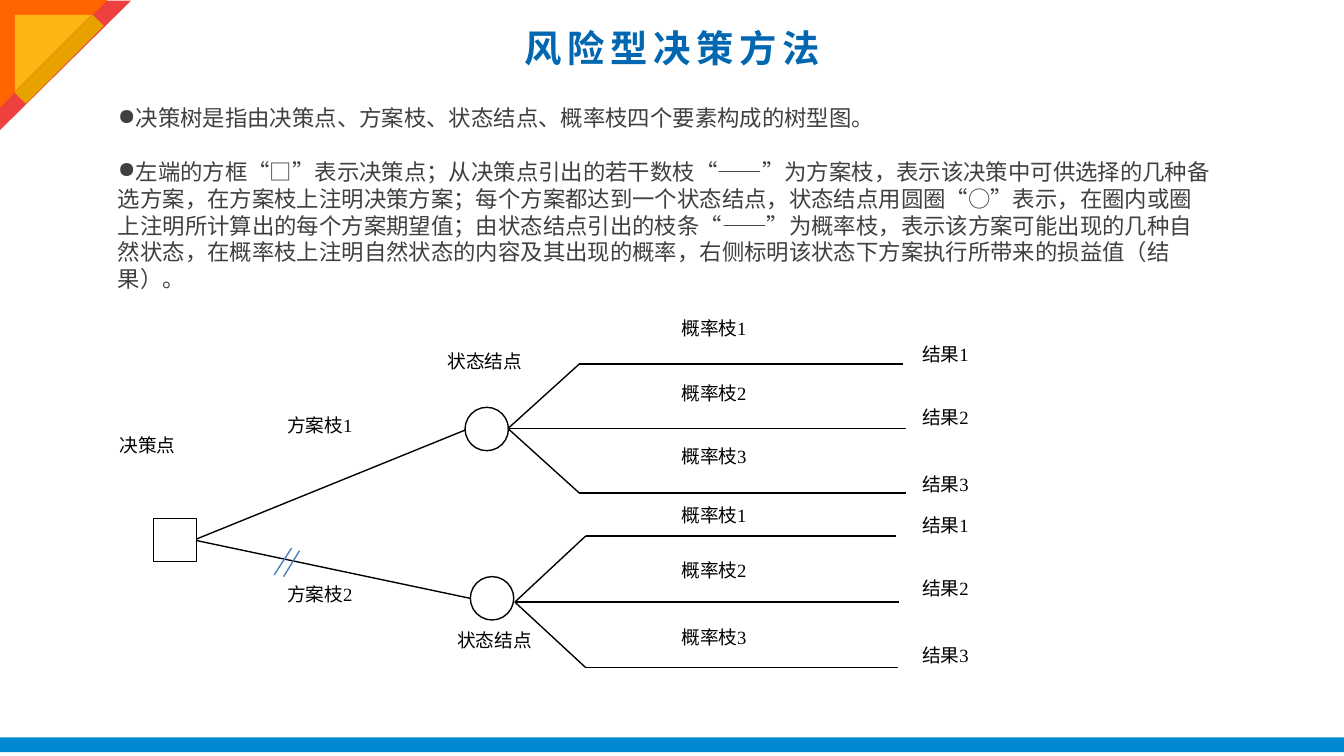
from lxml.etree import SubElement
from pptx import Presentation
from pptx.dml.color import RGBColor
from pptx.enum.shapes import MSO_CONNECTOR, MSO_SHAPE as Shape
from pptx.enum.text import MSO_ANCHOR, PP_ALIGN as Align
from pptx.oxml.ns import qn
from pptx.util import Cm, Pt

COLORS = {
    "title": "0067B0", "body": "404040", "ink": "000000", "paper": "FFFFFF",
    "bar": "0089D2", "red": "EE403F", "orange": "FF6600",
    "yellow": "FBB614", "gold": "E7A200", "cut": "4B7EBC",
}

deck = Presentation()
deck.slide_width, deck.slide_height = Cm(25.4), Cm(14.29)
slide = deck.slides.add_slide(deck.slide_layouts[6])


def add_text(box, paragraphs, size, font, color, align):
    frame = slide.shapes.add_textbox(*map(Cm, box)).text_frame
    frame.word_wrap = True
    for index, text in enumerate(paragraphs):
        paragraph = frame.paragraphs[0] if index == 0 else frame.add_paragraph()
        paragraph.alignment = align
        run = paragraph.add_run()
        run.text = text
        run.font.size = Pt(size)
        run.font.name = font
        run.font.color.rgb = RGBColor.from_string(COLORS[color])
    return frame


def add_line(start, end, color="ink"):
    line = slide.shapes.add_connector(MSO_CONNECTOR.STRAIGHT, *map(Cm, start + end))
    line.line.width = Pt(0.75)
    line.line.color.rgb = RGBColor.from_string(COLORS[color])
    SubElement(line._element.spPr, qn("a:effectLst"))


explanation = add_text((1.98, 1.85, 21.23, 3.33), [
    "决策树是指由决策点、方案枝、状态结点、概率枝四个要素构成的树型图。",
    "左端的方框“□”表示决策点；从决策点引出的若干数枝“——”为方案枝，"
    "表示该决策中可供选择的几种备选方案，在方案枝上注明决策方案；"
    "每个方案都达到一个状态结点，状态结点用圆圈“○”表示，"
    "在圈内或圈上注明所计算出的每个方案期望值；"
    "由状态结点引出的枝条“——”为概率枝，表示该方案可能出现的几种自然状态，"
    "在概率枝上注明自然状态的内容及其出现的概率，"
    "右侧标明该状态下方案执行所带来的损益值（结果）。",
], 12, "Arial", "body", Align.LEFT)
for point in explanation.paragraphs:
    properties = point._p.get_or_add_pPr()
    properties.set("marL", "0")
    properties.set("indent", "0")
    SubElement(properties, qn("a:buChar")).set("char", "●")
explanation.paragraphs[1].space_before = Pt(14.3)

for kind, box, rotation, color in [
    (Shape.RECTANGLE, (0, 13.94, 25.4, 0.28), 0, "bar"),
    (Shape.RIGHT_TRIANGLE, (0, 0, 2.46, 2.49), 90, "red"),
    (Shape.RIGHT_TRIANGLE, (0, 0, 2.03, 2.03), 90, "orange"),
    (Shape.RIGHT_TRIANGLE, (0.28, 0.28, 1.45, 1.45), 90, "yellow"),
    (Shape.RECTANGLE, (0.97, 0.08, 0.3, 2.08), 45, "gold"),
]:
    ornament = slide.shapes.add_shape(kind, *map(Cm, box))
    ornament.rotation = rotation
    ornament.shadow.inherit = False
    ornament.fill.solid()
    ornament.fill.fore_color.rgb = RGBColor.from_string(COLORS[color])
    ornament.line.fill.background()

add_line((3.71, 10.19), (8.79, 8.13))
add_line((3.68, 10.21), (9.22, 11.38))

for kind, left, top in [
    (Shape.RECTANGLE, 2.9, 9.8),
    (Shape.OVAL, 8.79, 7.7),
    (Shape.OVAL, 8.89, 10.9),
]:
    node = slide.shapes.add_shape(kind, Cm(left), Cm(top), Cm(0.82), Cm(0.82))
    node.shadow.inherit = False
    node.fill.solid()
    node.fill.fore_color.rgb = RGBColor.from_string(COLORS["paper"])
    node.line.width = Pt(0.75)
    node.line.color.rgb = RGBColor.from_string(COLORS["ink"])

for fork, bend, branches in [
    ((9.6, 8.1), 10.95, [(6.88, 17.07), (8.1, 17.12), (9.32, 17.12)]),
    ((9.73, 11.38), 11.07, [(10.13, 16.94), (11.38, 16.99), (12.62, 16.97)]),
]:
    for level, branch_end in branches:
        add_line(fork, (bend, level))
        add_line((bend, level), (branch_end, level))

labels = [
    ("状态结点", 8, 11.76, 2.69, Align.CENTER),
    ("状态结点", 7.82, 6.48, 2.69, Align.CENTER),
    ("方案枝1", 5.18, 7.7, 2.24, Align.JUSTIFY),
    ("方案枝2", 5.18, 10.9, 2.24, Align.JUSTIFY),
    ("决策点", 2.01, 8.08, 2.24, Align.JUSTIFY),
]
outcome_rows = [(5.87, 6.35), (7.09, 7.54), (8.28, 8.81),
                (9.4, 9.58), (10.44, 10.77), (11.71, 12.04)]
for index, (branch_top, result_top) in enumerate(outcome_rows):
    number = index % 3 + 1
    labels.append((f"概率枝{number}", 12.15, branch_top, 2.69, Align.CENTER))
    labels.append((f"结果{number}", 17.18, result_top, 1.96, Align.JUSTIFY))
for text, left, top, width, align in labels:
    add_text((left, top, width, 1.02), [text], 10, "Times New Roman", "ink", align)

title = add_text((1.27, 0.25, 22.86, 1.3), ["风险型决策方法"],
                 20, "Arial", "title", Align.CENTER)
title.vertical_anchor = MSO_ANCHOR.MIDDLE
heading = title.paragraphs[0].runs[0]
heading.font.bold = True
heading._r.get_or_add_rPr().set("spc", "300")

add_line((5.51, 10.36), (5.18, 10.87), "cut")
add_line((5.66, 10.41), (5.36, 10.9), "cut")

deck.save("out.pptx")
